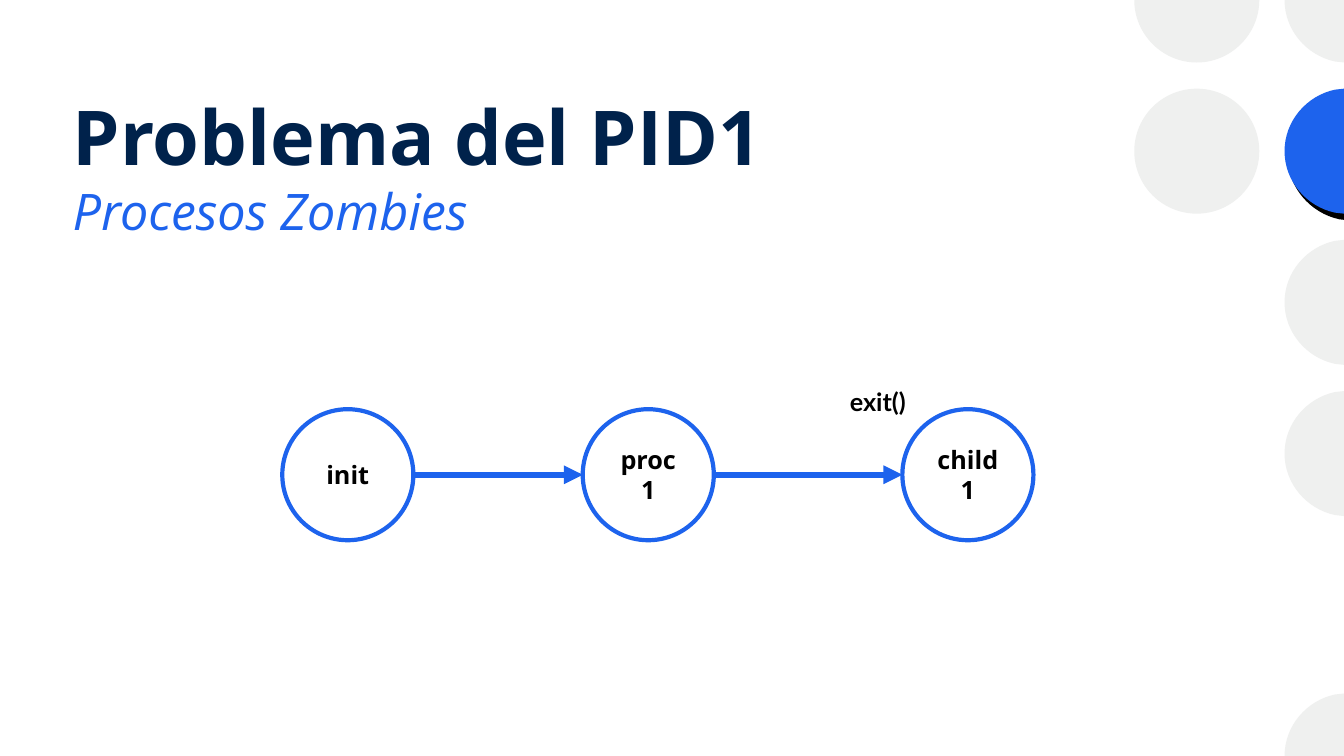
from lxml import etree
from pptx import Presentation
from pptx.dml.color import RGBColor
from pptx.enum.shapes import MSO_CONNECTOR, MSO_SHAPE
from pptx.enum.text import MSO_ANCHOR, PP_ALIGN
from pptx.oxml import parse_xml
from pptx.oxml.ns import nsdecls, qn
from pptx.util import Inches, Pt

OVAL = MSO_SHAPE.OVAL
STRAIGHT = MSO_CONNECTOR.STRAIGHT
TOP, MIDDLE = MSO_ANCHOR.TOP, MSO_ANCHOR.MIDDLE
LEFT, CENTER = PP_ALIGN.LEFT, PP_ALIGN.CENTER

COLORS = {"blue": "1D63ED", "navy": "00224B", "gray": "EFF0EF", "black": "000000"}
DOT_RADIUS = 0.62
DOT_COLUMNS = (11.87, 13.36)
DOT_PITCH = 1.5
NODE_SIZE = 1.3
NODE_TOP = 4.06
NODES = ((2.8, ("init",)), (5.78, ("proc", "1")), (8.95, ("child1",)))

# Outlines around a dot's centre: one point is a line, three points are a curve.
UPPER_ARC = ((-0.62, -0.3), (-0.4, -0.55), (-0.12, -0.61))
LOWER_ARC = ((-0.4, 0.55), (-0.62, 0.3), (-0.62, 0))
HALF_DISC = (
    ((-0.62, 0),), ((0.62, 0),),
    ((0.62, 0.34), (0.34, 0.62), (0, 0.62)),
    ((-0.34, 0.62), (-0.62, 0.34), (-0.62, 0)),
)
EDGE_DISC = (((-0.03, -0.62),), ((-0.03, 0.62),), ((-0.12, 0.61),), LOWER_ARC, UPPER_ARC)
EDGE_TOP = (((-0.62, 0),), ((-0.03, 0),), ((-0.03, 0.62),), ((-0.12, 0.61),), LOWER_ARC)
EDGE_BOTTOM = (((-0.03, -0.62),), ((-0.03, 0),), ((-0.62, 0),), UPPER_ARC)


def rgb(name):
    return RGBColor.from_string(COLORS[name])


def format_paragraph(para, size, color, font="Open Sans", bold=False, italic=False, align=LEFT):
    para.alignment = align
    para.space_before = Pt(0)
    para.font.name = font
    para.font.size = Pt(size)
    para.font.bold = bold
    para.font.italic = italic
    para.font.color.rgb = rgb(color)


def fill_heading(holder, text, place, size, color, **style):
    holder.left, holder.top, holder.width, holder.height = map(Inches, place)
    frame = holder.text_frame
    frame.text = text
    frame.word_wrap = True
    frame.vertical_anchor = TOP
    frame.margin_left = frame.margin_right = Inches(0.1)
    frame.margin_top = frame.margin_bottom = Inches(0.05)
    format_paragraph(frame.paragraphs[0], size, color, **style)


def paint_dot(dot, color):
    dot.fill.solid()
    dot.fill.fore_color.rgb = rgb(color)
    dot.line.fill.background()
    dot.shadow.inherit = False


def add_full_dot(page, column, row):
    left = DOT_COLUMNS[column] - DOT_RADIUS
    top = row * DOT_PITCH - DOT_RADIUS
    size = Inches(2 * DOT_RADIUS)
    paint_dot(page.shapes.add_shape(OVAL, Inches(left), Inches(top), size, size), "gray")


def add_cut_dot(page, column, row, outline, color="gray"):
    """Draw a dot that the slide edge cuts off."""
    points = [(Inches(DOT_COLUMNS[column] + x), Inches(row * DOT_PITCH + y))
              for segment in outline for x, y in segment]
    builder = page.shapes.build_freeform(*points[0])
    builder.add_line_segments(points[1:], close=True)
    dot = builder.convert_to_shape()
    lines = iter(list(dot._element.spPr.iter(qn("a:lnTo"))))
    for segment in outline[1:]:
        steps = [next(lines) for _ in segment]
        if len(steps) == 3:
            curve = etree.Element(qn("a:cubicBezTo"))
            steps[0].addprevious(curve)
            for step in steps:
                curve.append(step[0])
                step.getparent().remove(step)
    paint_dot(dot, color)
    return dot


def add_hard_shadow(shape):
    effects = shape._element.spPr.find(qn("a:effectLst"))
    effects.append(parse_xml(
        f'<a:outerShdw {nsdecls("a")} dist="38100" dir="2700000" sx="103000" sy="103000"'
        f' algn="tl" rotWithShape="0"><a:srgbClr val="{COLORS["black"]}"/></a:outerShdw>'))


def add_node(page, left, lines):
    node = page.shapes.add_shape(
        OVAL, Inches(left), Inches(NODE_TOP), Inches(NODE_SIZE), Inches(NODE_SIZE))
    node.shadow.inherit = False
    node.fill.background()
    node.line.color.rgb = rgb("blue")
    node.line.width = Pt(3)
    frame = node.text_frame
    frame.word_wrap = True
    frame.vertical_anchor = MIDDLE
    frame.text = "\n".join(lines)
    for para in frame.paragraphs:
        format_paragraph(para, 18, "black", bold=True, align=CENTER)


def add_arrow(page, start, end):
    y = Inches(NODE_TOP + NODE_SIZE / 2)
    arrow = page.shapes.add_connector(STRAIGHT, Inches(start), y, Inches(end), y)
    arrow.line.color.rgb = rgb("blue")
    arrow.line.width = Pt(4.5)
    etree.SubElement(arrow.line._get_or_add_ln(), qn("a:tailEnd"), type="triangle")
    etree.SubElement(arrow._element.spPr, qn("a:effectLst"))


def add_label(page, text, left, top, width, height):
    box = page.shapes.add_textbox(*map(Inches, (left, top, width, height)))
    box.text_frame.word_wrap = True
    box.text_frame.text = text
    format_paragraph(box.text_frame.paragraphs[0], 18, "black", font="Lato", bold=True)


def main():
    deck = Presentation()
    deck.slide_width, deck.slide_height = Inches(13.33), Inches(7.5)
    page = deck.slides.add_slide(deck.slide_layouts[0])

    add_full_dot(page, 0, 1)
    add_cut_dot(page, 0, 0, HALF_DISC)
    add_cut_dot(page, 1, 5, EDGE_BOTTOM)
    for row in (3, 2):
        add_cut_dot(page, 1, row, EDGE_DISC)
    add_hard_shadow(add_cut_dot(page, 1, 1, EDGE_DISC, "blue"))
    add_cut_dot(page, 1, 0, EDGE_TOP)

    fill_heading(page.shapes.title, "Problema del PID1",
                 (0.62, 0.84, 9.47, 0.85), 54, "navy", bold=True)
    fill_heading(page.placeholders[1], "Procesos Zombies",
                 (0.62, 1.74, 8.02, 0.65), 36, "blue", italic=True)

    for left, lines in NODES:
        add_node(page, left, lines)
    add_label(page, "exit()", 8.33, 3.78, 1.92, 0.4)
    for (source, _), (target, _) in zip(NODES, NODES[1:]):
        add_arrow(page, source + NODE_SIZE, target)

    deck.save("out.pptx")


if __name__ == "__main__":
    main()
